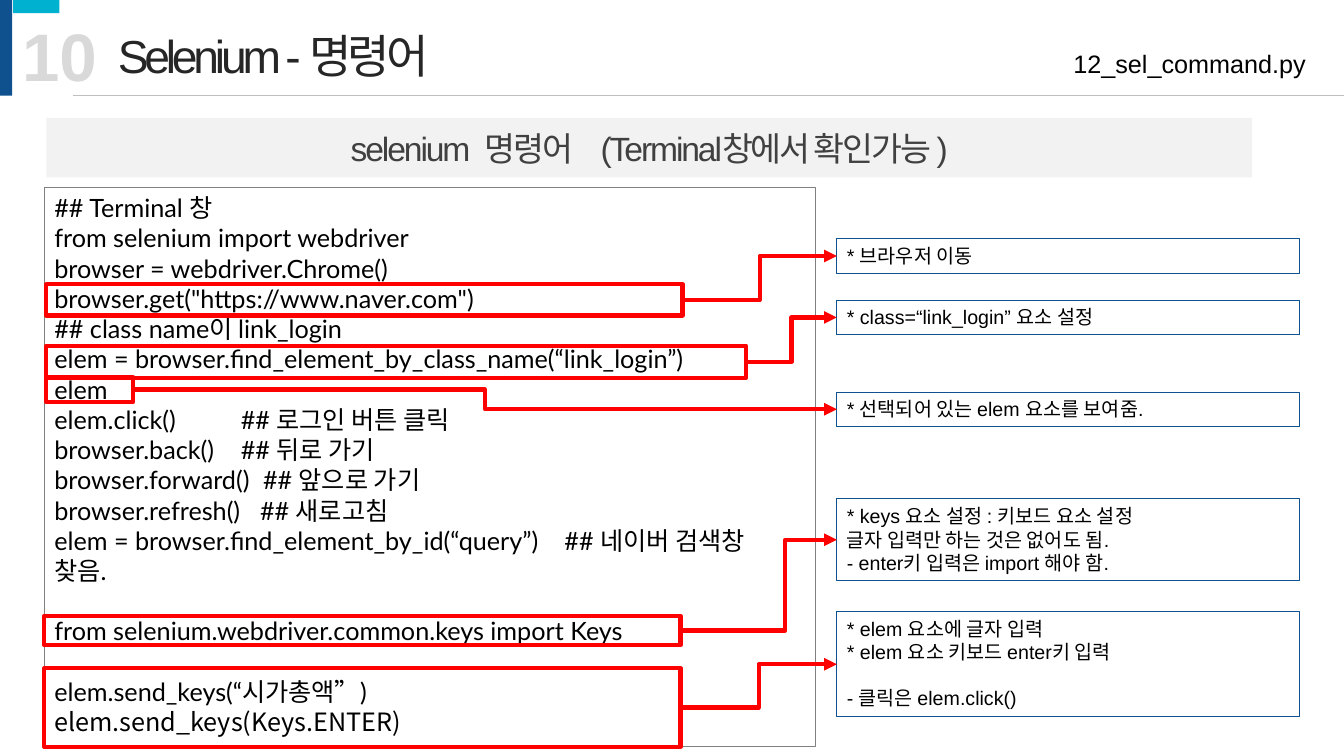
from dataclasses import dataclass

from lxml import etree
from pptx import Presentation
from pptx.dml.color import RGBColor
from pptx.enum.shapes import MSO_CONNECTOR, MSO_SHAPE
from pptx.enum.text import MSO_ANCHOR, PP_ALIGN
from pptx.oxml.ns import qn
from pptx.util import Inches, Pt

RECT = MSO_SHAPE.RECTANGLE
ELBOW, LINE = MSO_CONNECTOR.ELBOW, MSO_CONNECTOR.STRAIGHT
TOP, MIDDLE = MSO_ANCHOR.TOP, MSO_ANCHOR.MIDDLE
LEFT, CENTER, RIGHT = PP_ALIGN.LEFT, PP_ALIGN.CENTER, PP_ALIGN.RIGHT
RED, NAVY, BLACK = "FF0000", "0F518E", "000000"
RIGHT_SITE, LEFT_SITE = 3, 1


@dataclass
class Box:
    left: float
    top: float
    width: float
    height: float


@dataclass
class Style:
    size: float
    color: str = BLACK
    font: str = "Arial"
    bold: bool = False
    align: PP_ALIGN = LEFT


@dataclass
class Row:
    text: str
    tab: float = 0
    gap: float = 0
    font: str = ""


@dataclass
class Part:
    text: str
    track: float


@dataclass
class Step:
    frame: Box
    note: Box
    rows: list[Row]
    bend: float = 0.5


def paint(target, color: str) -> None:
    target.rgb = RGBColor.from_string(color)


def add_rect(slide, box: Box, fill: str = "", line: str = "", weight: float = 0.75):
    shape = slide.shapes.add_shape(
        RECT, Inches(box.left), Inches(box.top), Inches(box.width), Inches(box.height))
    shape.shadow.inherit = False
    if fill:
        shape.fill.solid()
        paint(shape.fill.fore_color, fill)
    else:
        shape.fill.background()
    if line:
        paint(shape.line.color, line)
        shape.line.width = Pt(weight)
    else:
        shape.line.fill.background()
    return shape


def add_run(para, text: str, style: Style, font: str = "", track: float = 0) -> None:
    run = para.add_run()
    run.text = text
    run.font.size = Pt(style.size)
    run.font.name = font or style.font
    run.font.bold = style.bold
    paint(run.font.color, style.color)
    if track:
        run.font._element.set("spc", str(round(track * 100)))


def write_parts(shape, parts: list[Part], style: Style, wrap: bool = True) -> None:
    shape.text_frame.word_wrap = wrap
    para = shape.text_frame.paragraphs[0]
    para.alignment = style.align
    for part in parts:
        add_run(para, part.text, style, track=part.track)


def write_rows(shape, rows: list[Row], style: Style) -> None:
    frame = shape.text_frame
    frame.word_wrap = True
    frame.vertical_anchor = TOP
    for index, row in enumerate(rows):
        para = frame.add_paragraph() if index else frame.paragraphs[0]
        para.alignment = style.align
        if row.gap:
            para.space_before = Pt(row.gap)
        if row.tab:
            stops = etree.SubElement(para._p.get_or_add_pPr(), qn("a:tabLst"))
            etree.SubElement(stops, qn("a:tab"), pos=str(Inches(row.tab)), algn="l")
        add_run(para, row.text, style, row.font)


def add_label(slide, box: Box, part: Part, style: Style, wrap: bool = True) -> None:
    shape = slide.shapes.add_textbox(
        Inches(box.left), Inches(box.top), Inches(box.width), Inches(box.height))
    write_parts(shape, [part], style, wrap)


def add_link(slide, kind: MSO_CONNECTOR, start: tuple, end: tuple, color: str, weight: float):
    link = slide.shapes.add_connector(kind, *map(Inches, start + end))
    paint(link.line.color, color)
    link.line.width = Pt(weight)
    etree.SubElement(link._element.spPr, qn("a:effectLst"))
    return link


def add_step(slide, step: Step) -> None:
    frame = add_rect(slide, step.frame, line=RED, weight=3)
    note = add_rect(slide, step.note, line=NAVY)
    write_rows(note, step.rows, Style(14))
    link = add_link(slide, ELBOW, (0, 0), (1, 1), RED, 3)
    link.begin_connect(frame, RIGHT_SITE)
    link.end_connect(note, LEFT_SITE)
    etree.SubElement(link.line._get_or_add_ln(), qn("a:tailEnd"), type="triangle")
    guides = link._element.spPr.find(qn("a:prstGeom")).get_or_add_avLst()
    etree.SubElement(guides, qn("a:gd"), name="adj1", fmla=f"val {round(step.bend * 100000)}")


def note_box(top: float, height: float = 0.34) -> Box:
    return Box(8.3, top, 4.59, height)


CODE = [
    Row("## Terminal 창"),
    Row("from selenium import webdriver"),
    Row("browser = webdriver.Chrome()"),
    Row('browser.get("https://www.naver.com")'),
    Row("## class name이 link_login"),
    Row("elem = browser.find_element_by_class_name(“link_login”)"),
    Row("elem"),
    Row("elem.click()\t## 로그인 버튼 클릭", tab=1.85),
    Row("browser.back()\t## 뒤로 가기", tab=1.85),
    Row("browser.forward()\t## 앞으로 가기", tab=2.07),
    Row("browser.refresh()\t## 새로고침", tab=2.04),
    Row("elem = browser.find_element_by_id(“query”)\t## 네이버 검색창", tab=5.06),
    Row("찾음."),
    Row("from selenium.webdriver.common.keys import Keys", gap=21.6),
    Row("elem.send_keys(“시가총액”)", gap=21.6),
    Row("elem.send_keys(Keys.ENTER)", font="Noto Sans CJK KR"),
]

STEPS = [
    Step(Box(0.46, 2.82, 6.31, 0.31), note_box(2.37), [Row("* 브라우저 이동")]),
    Step(Box(0.46, 3.43, 6.94, 0.32), note_box(2.98), [Row("* class=“link_login” 요소 설정")]),
    Step(Box(0.46, 3.74, 0.86, 0.25), note_box(3.89),
         [Row("* 선택되어 있는 elem 요소를 보여줌.")]),
    Step(Box(0.44, 6.11, 6.31, 0.29), note_box(4.95, 0.81),
         [Row("* keys 요소 설정 : 키보드 요소 설정"),
          Row("글자 입력만 하는 것은 없어도 됨."),
          Row("- enter키 입력은 import 해야 함.")], 0.67),
    Step(Box(0.44, 6.63, 6.31, 0.78), note_box(6.07, 1.04),
         [Row("* elem 요소에 글자 입력"),
          Row("* elem 요소 키보드 enter키 입력"),
          Row("- 클릭은 elem.click()", gap=16)]),
]

BANNER = [
    Part("selenium", -1.5), Part(" ", 3.7), Part("명령어", -1.5),
    Part(" ", 14), Part("(Terminal창에서 확인가능 )", -1.5),
]


def main() -> None:
    deck = Presentation()
    deck.slide_width, deck.slide_height = Inches(13.33), Inches(7.5)
    slide = deck.slides.add_slide(deck.slide_layouts[6])

    banner = add_rect(slide, Box(0.46, 1.17, 11.96, 0.59), fill="F2F2F2")
    banner.text_frame.vertical_anchor = MIDDLE
    write_parts(banner, BANNER, Style(24, "404040", align=CENTER))

    add_rect(slide, Box(0, 0, 0.12, 0.95), fill=NAVY)
    add_rect(slide, Box(0.13, 0, 0.46, 0.13), fill="01B1D0")
    add_label(slide, Box(1.07, 0.22, 8.89, 0.67), Part("Selenium - 명령어", -3),
              Style(33, "262626"))
    add_label(slide, Box(0.12, 0.09, 0.95, 0.91), Part("10", 0),
              Style(48, "D9D9D9", bold=True), wrap=False)
    add_link(slide, LINE, (0.72, 0.95), (13.33, 0.95), "BFBFBF", 0.5)
    add_label(slide, Box(8.93, 0.43, 4.12, 0.4), Part("12_sel_command.py", 0),
              Style(18, align=RIGHT))

    code = add_rect(slide, Box(0.44, 1.86, 7.65, 5.55), line="808080")
    write_rows(code, CODE, Style(18, font="Lato"))
    for step in STEPS:
        add_step(slide, step)

    deck.save("out.pptx")


if __name__ == "__main__":
    main()
